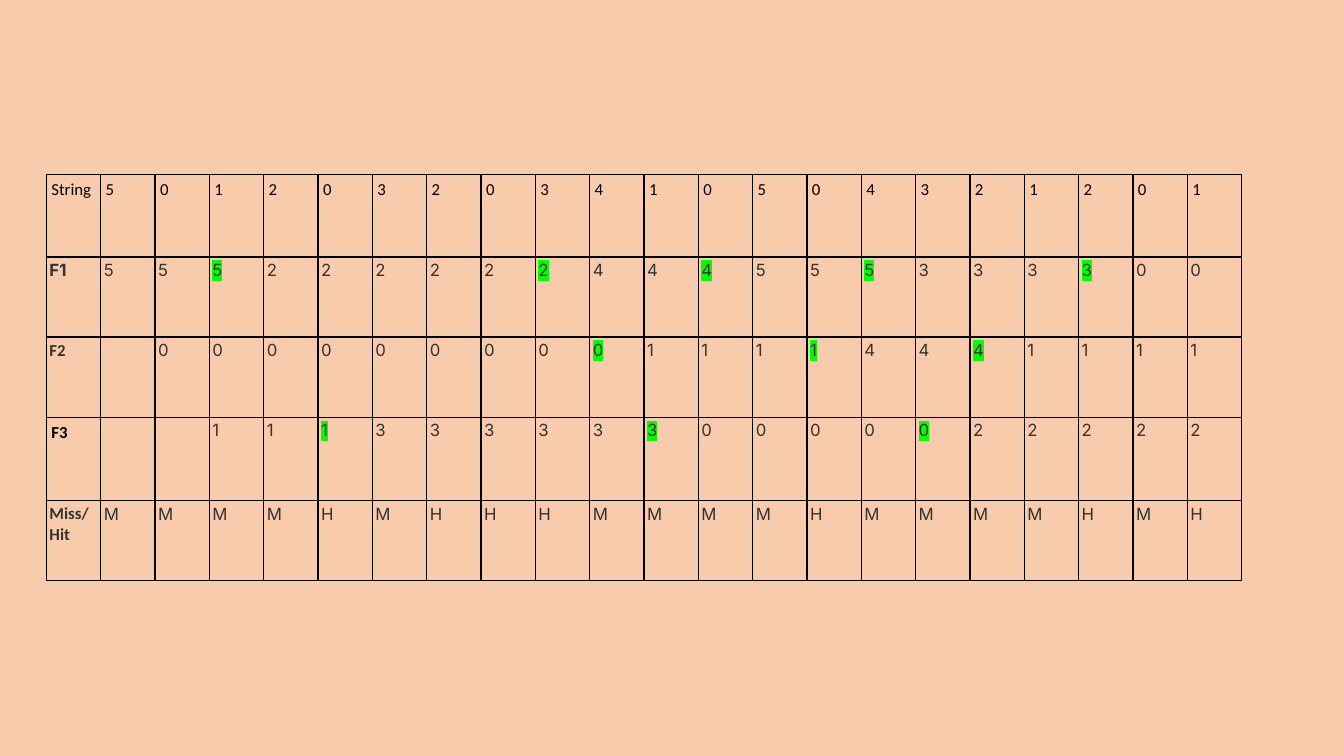
from lxml.etree import SubElement
from pptx import Presentation
from pptx.dml.color import RGBColor
from pptx.enum.text import PP_ALIGN
from pptx.oxml import parse_xml
from pptx.oxml.ns import nsdecls, qn
from pptx.util import Pt

COLORS = {
    "background": "F8CBAD",
    "line": "000000",
    "heading": "000000",
    "body": "333333",
    "replaced": "00FF00",
}
REFERENCES = "501203203410504321201"
TRACE = [
    ("String", REFERENCES, 59),
    ("F1", "555222222444555333300", 57.2),
    ("F2", " 00000000011114441111", 57.4),
    ("F3", "  1113333330000022222", 59.6),
    ("Miss/Hit", "MMMMHMHHHMMMMHMMMMHMH", 57.2),
]
FRAMES = ("F1", "F2", "F3")


class TraceSlide:
    """Draws a page replacement trace on one slide in a fixed style."""

    def __init__(self, deck):
        self.slide = deck.slides.add_slide(deck.slide_layouts[6])
        self.size = Pt(12)
        fill = self.slide.background.fill
        fill.solid()
        fill.fore_color.rgb = RGBColor.from_string(COLORS["background"])

    def borders(self, cell):
        properties = cell._tc.get_or_add_tcPr()
        for side in ("L", "R", "T", "B"):
            properties.append(parse_xml(
                f'<a:ln{side} w="{Pt(1)}" {nsdecls("a")}><a:solidFill>'
                f'<a:srgbClr val="{COLORS["line"]}"/></a:solidFill></a:ln{side}>'))

    def highlight(self, run):
        properties = run._r.get_or_add_rPr()
        mark = SubElement(properties, qn("a:highlight"))
        SubElement(mark, qn("a:srgbClr")).set("val", COLORS["replaced"])
        properties.find(qn("a:solidFill")).addnext(mark)

    def cell(self, cell, text, heading, bold, font, replaced):
        self.borders(cell)
        cell.fill.background()
        inset = Pt(3.6 if heading else 2.25)
        cell.margin_left = cell.margin_right = inset
        cell.margin_top = cell.margin_bottom = inset
        paragraph = cell.text_frame.paragraphs[0]
        paragraph.text = text
        paragraph.font.size = self.size
        paragraph.alignment = PP_ALIGN.LEFT if heading else PP_ALIGN.JUSTIFY
        for run in paragraph.runs:
            run.font.size = self.size
            run.font.name = font
            run.font.bold = bold
            run.font.color.rgb = RGBColor.from_string(
                COLORS["heading" if heading else "body"])
            if replaced:
                self.highlight(run)

    def table(self, left, top, width, trace):
        columns = len(REFERENCES) + 1
        height = sum(row_height for _, _, row_height in trace)
        grid = self.slide.shapes.add_table(
            len(trace), columns, Pt(left), Pt(top), Pt(width), Pt(height)).table
        grid.first_row = grid.horz_banding = False
        for column in grid.columns:
            column.width = Pt(width / columns)
        for row, (label, pages, row_height) in enumerate(trace):
            grid.rows[row].height = Pt(row_height)
            is_string = label == "String"
            self.cell(grid.cell(row, 0), label, label in ("String", "F3"),
                      not is_string, "Inter" if label == "F1" else "Calibri", False)
            for step, page in enumerate(pages):
                following = pages[step + 1:step + 2] or page
                replaced = label in FRAMES and page != " " and following != page
                self.cell(grid.cell(row, step + 1), page.strip(), is_string, False,
                          "Calibri" if is_string else "Inter", replaced)


def main():
    deck = Presentation()
    deck.slide_width, deck.slide_height = Pt(960), Pt(540)
    TraceSlide(deck).table(33.1, 124.6, 853.8, TRACE)
    deck.save("out.pptx")


if __name__ == "__main__":
    main()
